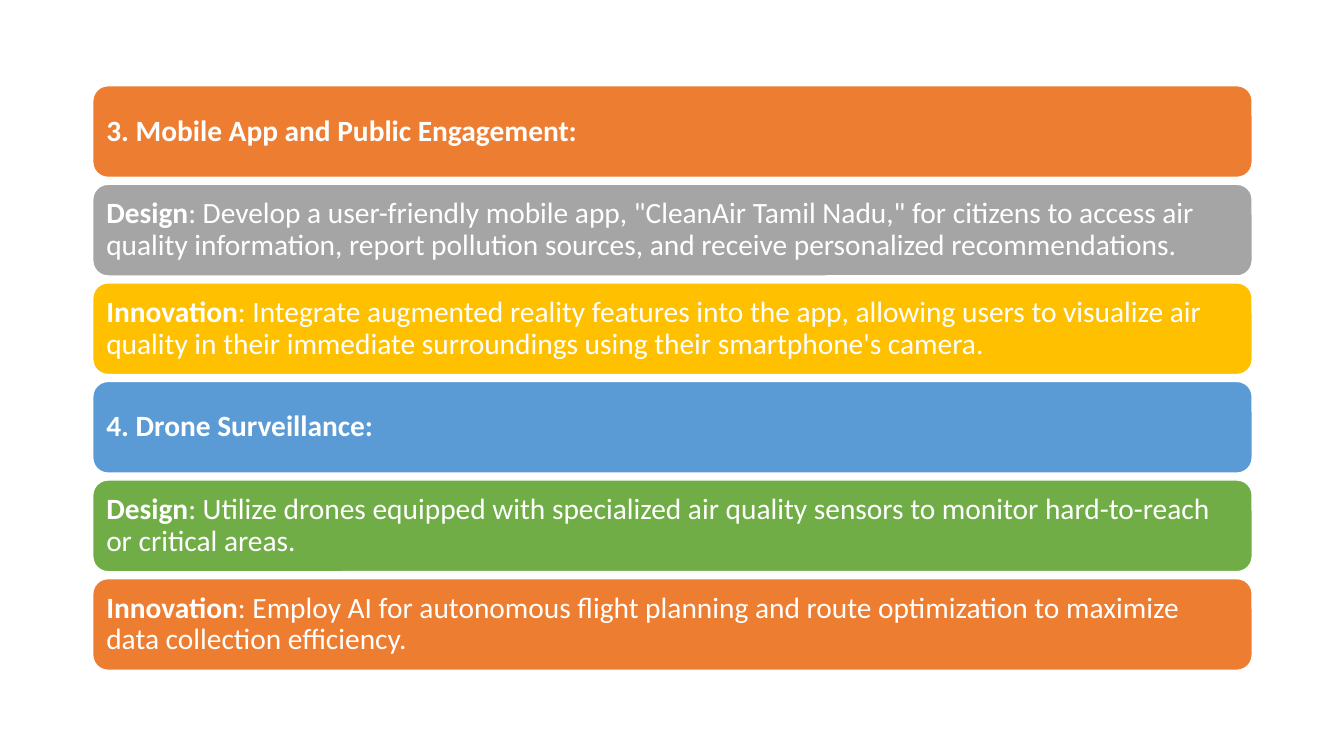
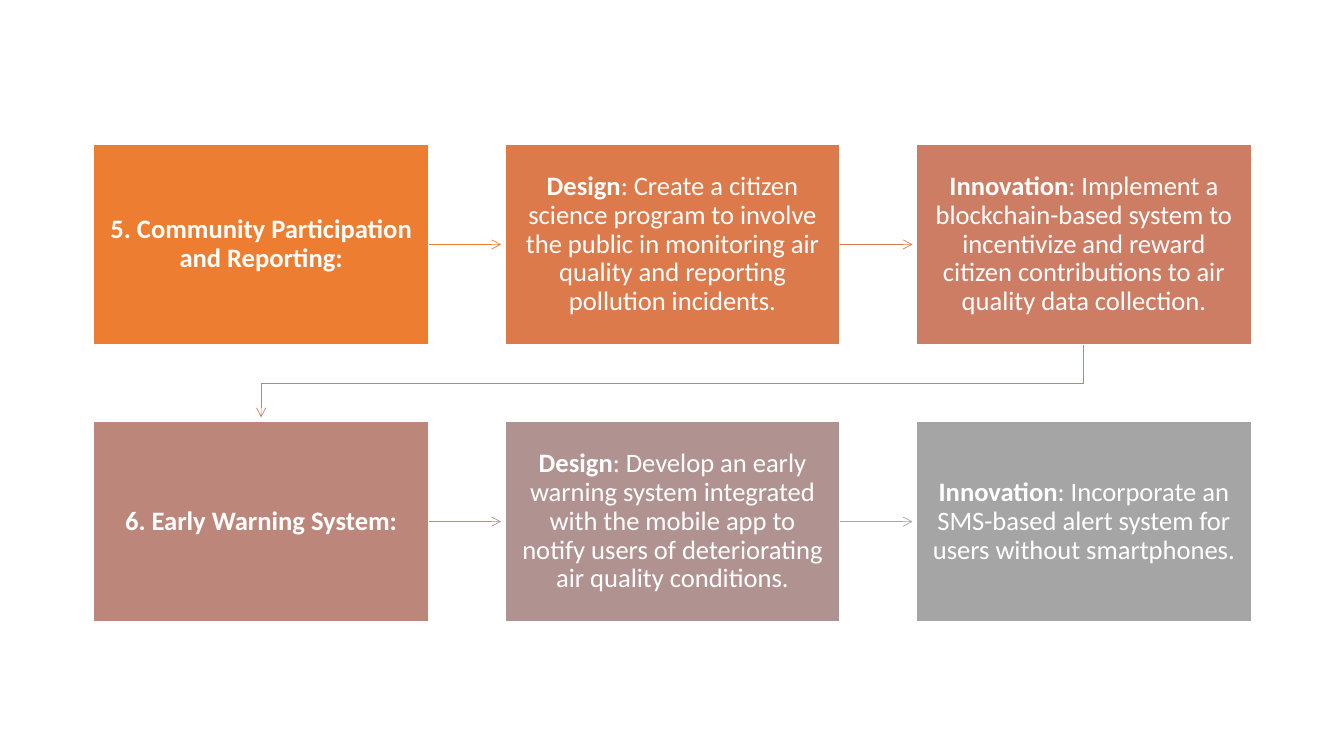
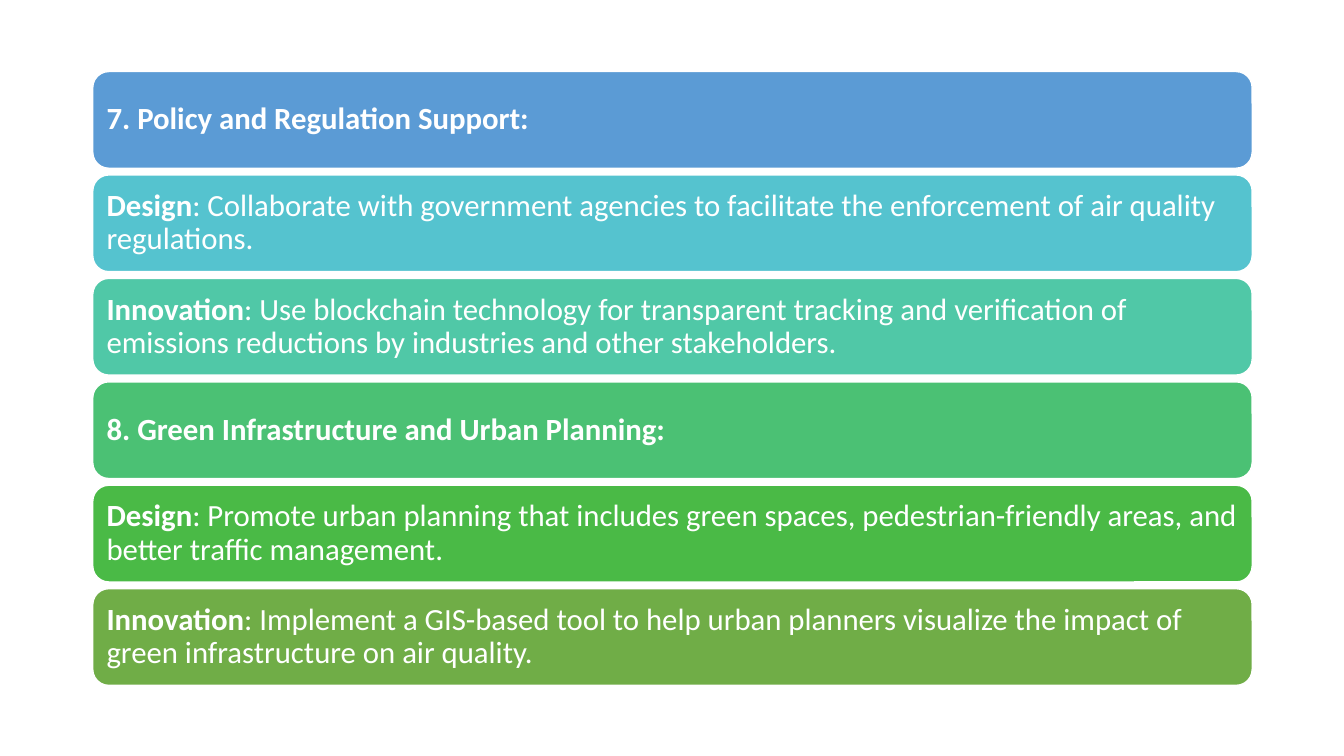
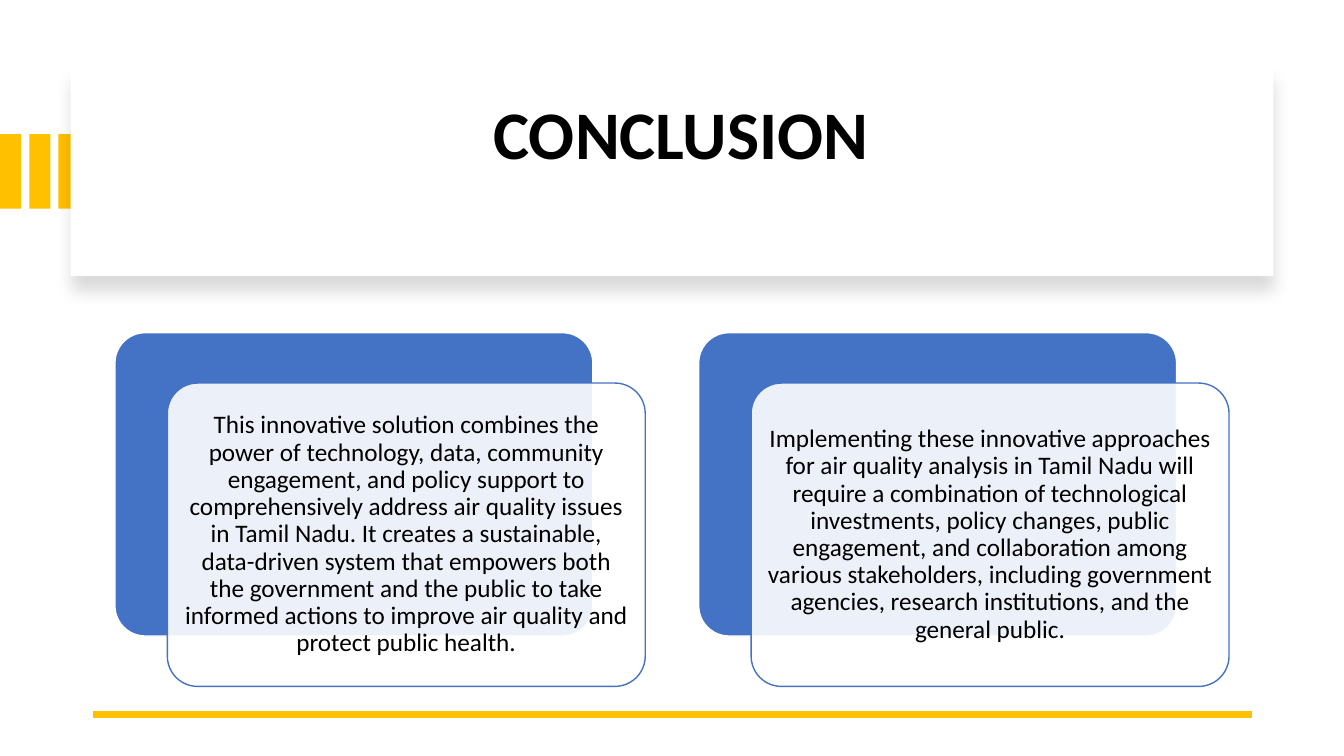
from dataclasses import dataclass

from lxml import etree
from pptx import Presentation
from pptx.dml.color import RGBColor
from pptx.enum import shapes, text
from pptx.oxml.ns import qn
from pptx.util import Inches, Pt

KIND = shapes.MSO_SHAPE


@dataclass(frozen=True)
class Theme:
    font: str = "Calibri"
    white: str = "FFFFFF"
    black: str = "000000"
    orange: str = "ED7D31"
    gray: str = "A5A5A5"
    gold: str = "FFC000"
    sky: str = "5B9BD5"
    green: str = "70AD47"
    blue: str = "4472C4"
    title: float = 48.6
    card: float = 18
    box: float = 19
    edge: float = 1
    arrow: float = 0.5
    rule: float = 4.5


class Deck:
    def __init__(self, theme):
        self.theme = theme
        self.file = Presentation()
        self.file.slide_width = Inches(13.33)
        self.file.slide_height = Inches(7.5)

    def add(self, titled=False):
        layout = self.file.slide_layouts[5 if titled else 6]
        self.slide = self.file.slides.add_slide(layout)

    def ink(self, line, color, width):
        line.color.rgb = RGBColor.from_string(color)
        line.width = Pt(width)

    def shape(self, kind, at, fill, edge=None):
        item = self.slide.shapes.add_shape(kind, *map(Inches, at))
        item.shadow.inherit = False
        item.fill.solid()
        item.fill.fore_color.rgb = RGBColor.from_string(fill)
        if edge:
            self.ink(item.line, edge, self.theme.edge)
        else:
            item.line.fill.background()
        return item

    def label(self, item, runs, size, color, align, pads, anchor="MIDDLE"):
        """Fill item with (words, bold) runs; pads are left, top, right, bottom."""
        frame = item.text_frame
        frame.word_wrap = True
        frame.auto_size = text.MSO_AUTO_SIZE.NONE
        frame.vertical_anchor = text.MSO_ANCHOR[anchor]
        (frame.margin_left, frame.margin_top,
         frame.margin_right, frame.margin_bottom) = map(Inches, pads)
        para = frame.paragraphs[0]
        para.alignment = text.PP_ALIGN[align]
        para.line_spacing = 0.9
        for words, bold in runs:
            run = para.add_run()
            run.text = words
            run.font.name = self.theme.font
            run.font.size = Pt(size)
            run.font.bold = bold
            run.font.color.rgb = RGBColor.from_string(color)

    def point(self, item):
        """Put an open arrowhead at the end of a line."""
        line = item.element.spPr.find(qn("a:ln"))
        etree.SubElement(line, qn("a:tailEnd"), type="arrow")

    def line(self, start, end, color, width, source=None):
        """Draw a line, joined to the right side of source if given."""
        item = self.slide.shapes.add_connector(
            shapes.MSO_CONNECTOR.STRAIGHT, *map(Inches, start + end))
        if source:
            item.begin_connect(source, 3)
        self.ink(item.line, color, width)
        etree.SubElement(item.element.spPr, qn("a:effectLst"))
        return item

    def bend(self, points, color):
        spots = [(Inches(x), Inches(y)) for x, y in points]
        draft = self.slide.shapes.build_freeform(*spots[0])
        draft.add_line_segments(spots[1:], close=False)
        item = draft.convert_to_shape()
        item.shadow.inherit = False
        item.fill.background()
        self.ink(item.line, color, self.theme.arrow)
        self.point(item)

    def stack(self, rows, fills, first, last, high, size):
        """Stack full-width bars evenly, with tops from first to last."""
        step = (last - first) / (len(rows) - 1)
        for i, (runs, fill) in enumerate(zip(rows, fills)):
            bar = self.shape(KIND.ROUNDED_RECTANGLE,
                             (0.92, first + i * step, 11.5, high),
                             fill, self.theme.white)
            self.label(bar, runs, size, self.theme.white, "LEFT", [0.09] * 4)

    def flow(self, cells, fills, inks):
        """Lay cells out in rows of three, with arrows in reading order."""
        left, top, wide, high = 0.93, 1.43, 3.32, 1.99
        across, down, gap = 4.08, 2.75, 0.04
        for i, (runs, fill) in enumerate(zip(cells, fills)):
            row, col = divmod(i, 3)
            x, y = left + col * across, top + row * down
            box = self.shape(KIND.RECTANGLE, (x, y, wide, high),
                             fill, self.theme.white)
            self.label(box, runs, self.theme.box, self.theme.white,
                       "CENTER", (0.16, 0.17, 0.16, 0.17))
            if i == len(cells) - 1:
                break
            if col < 2:
                mid = y + high / 2
                self.point(self.line((x + wide, mid), (x + across - gap, mid),
                                     inks[i], self.theme.arrow, box))
            else:
                start, end = x + wide / 2, left + wide / 2
                turn = y + (high + down) / 2
                self.bend([(start, y + high), (start, turn), (end, turn),
                           (end, y + down - gap)], inks[i])

    def panel(self, at):
        item = self.shape(KIND.RECTANGLE, at, self.theme.white)
        effects = item.element.spPr.find(qn("a:effectLst"))
        shade = etree.SubElement(
            effects, qn("a:outerShdw"), blurRad=str(Pt(11)), dist=str(Pt(10)),
            dir="5400000", algn="t", rotWithShape="0")
        self.fade(etree.SubElement(shade, qn("a:srgbClr"),
                                   val=self.theme.black), 15)

    def fade(self, color, percent):
        etree.SubElement(color, qn("a:alpha"), val=str(percent * 1000))

    def title(self, words):
        item = self.slide.shapes.title
        item.left, item.top, item.width, item.height = map(
            Inches, (1.14, 0.89, 11.13, 1.7))
        self.slide.shapes.element.append(item.element)
        self.label(item, [(words, True)], self.theme.title, self.theme.black,
                   "CENTER", (0.2, 0.11, 0.1, 0.05), "TOP")

    def card(self, x, y, words):
        """Draw a blue plate with a translucent text card over it."""
        wide, high = 4.74, 3.01
        plate = self.shape(KIND.ROUNDED_RECTANGLE, (x, y, wide, high),
                           self.theme.blue, self.theme.white)
        front = self.shape(KIND.ROUNDED_RECTANGLE,
                           (x + 0.52, y + 0.5, wide, high),
                           self.theme.white, self.theme.blue)
        plate.adjustments[0] = front.adjustments[0] = 0.1
        fill = front.element.spPr.find(qn("a:solidFill"))
        self.fade(fill.find(qn("a:srgbClr")), 90)
        self.label(front, [(words, False)], self.theme.card, self.theme.black,
                   "CENTER", [0.07] * 4)


def topic(head, design, novel):
    """Give the runs of a heading and its two points."""
    return [[(head, True)],
            [("Design", True), (": " + design, False)],
            [("Innovation", True), (": " + novel, False)]]


def main():
    look = Theme()
    deck = Deck(look)

    deck.add()
    deck.stack(
        topic("3. Mobile App and Public Engagement:",
              'Develop a user-friendly mobile app, "CleanAir Tamil Nadu," for '
              "citizens to access air quality information, report pollution "
              "sources, and receive personalized recommendations.",
              "Integrate augmented reality features into the app, allowing "
              "users to visualize air quality in their immediate surroundings "
              "using their smartphone's camera.")
        + topic("4. Drone Surveillance:",
                "Utilize drones equipped with specialized air quality sensors "
                "to monitor hard-to-reach or critical areas.",
                "Employ AI for autonomous flight planning and route "
                "optimization to maximize data collection efficiency."),
        [look.orange, look.gray, look.gold, look.sky, look.green, look.orange],
        first=0.85, last=5.74, high=0.91, size=21)

    deck.add()
    deck.flow(
        topic("5. Community Participation and Reporting:",
              "Create a citizen science program to involve the public in "
              "monitoring air quality and reporting pollution incidents.",
              "Implement a blockchain-based system to incentivize and reward "
              "citizen contributions to air quality data collection.")
        + topic("6. Early Warning System:",
                "Develop an early warning system integrated with the mobile "
                "app to notify users of deteriorating air quality conditions.",
                "Incorporate an SMS-based alert system for users without "
                "smartphones."),
        [look.orange, "DC7A4B", "CC7D64", "BD867B", "B09391", look.gray],
        [look.orange, "D87A51", "C48170", "B4908B", look.gray])

    deck.add()
    deck.stack(
        topic("7. Policy and Regulation Support:",
              "Collaborate with government agencies to facilitate the "
              "enforcement of air quality regulations.",
              "Use blockchain technology for transparent tracking and "
              "verification of emissions reductions by industries and other "
              "stakeholders.")
        + topic("8. Green Infrastructure and Urban Planning:",
                "Promote urban planning that includes green spaces, "
                "pedestrian-friendly areas, and better traffic management.",
                "Implement a GIS-based tool to help urban planners visualize "
                "the impact of green infrastructure on air quality."),
        [look.sky, "55C3CF", "50C8A7", "4BC174", "4ABA46", look.green],
        first=0.71, last=5.84, high=0.96, size=22)

    deck.add(titled=True)
    for i in range(3):
        deck.shape(KIND.RECTANGLE, (i * 0.29, 1.33, 0.21, 0.74), look.gold)
    deck.panel((0.7, 0.67, 11.93, 2.07))
    deck.title("CONCLUSION")
    deck.line((12.42, 7.09), (0.92, 7.09), look.gold, look.rule)
    deck.card(1.14, 3.3,
              "This innovative solution combines the power of technology, "
              "data, community engagement, and policy support to "
              "comprehensively address air quality issues in Tamil Nadu. It "
              "creates a sustainable, data-driven system that empowers both "
              "the government and the public to take informed actions to "
              "improve air quality and protect public health.")
    deck.card(6.93, 3.3,
              "Implementing these innovative approaches for air quality "
              "analysis in Tamil Nadu will require a combination of "
              "technological investments, policy changes, public engagement, "
              "and collaboration among various stakeholders, including "
              "government agencies, research institutions, and the general "
              "public.")

    deck.file.save("out.pptx")


if __name__ == "__main__":
    main()
